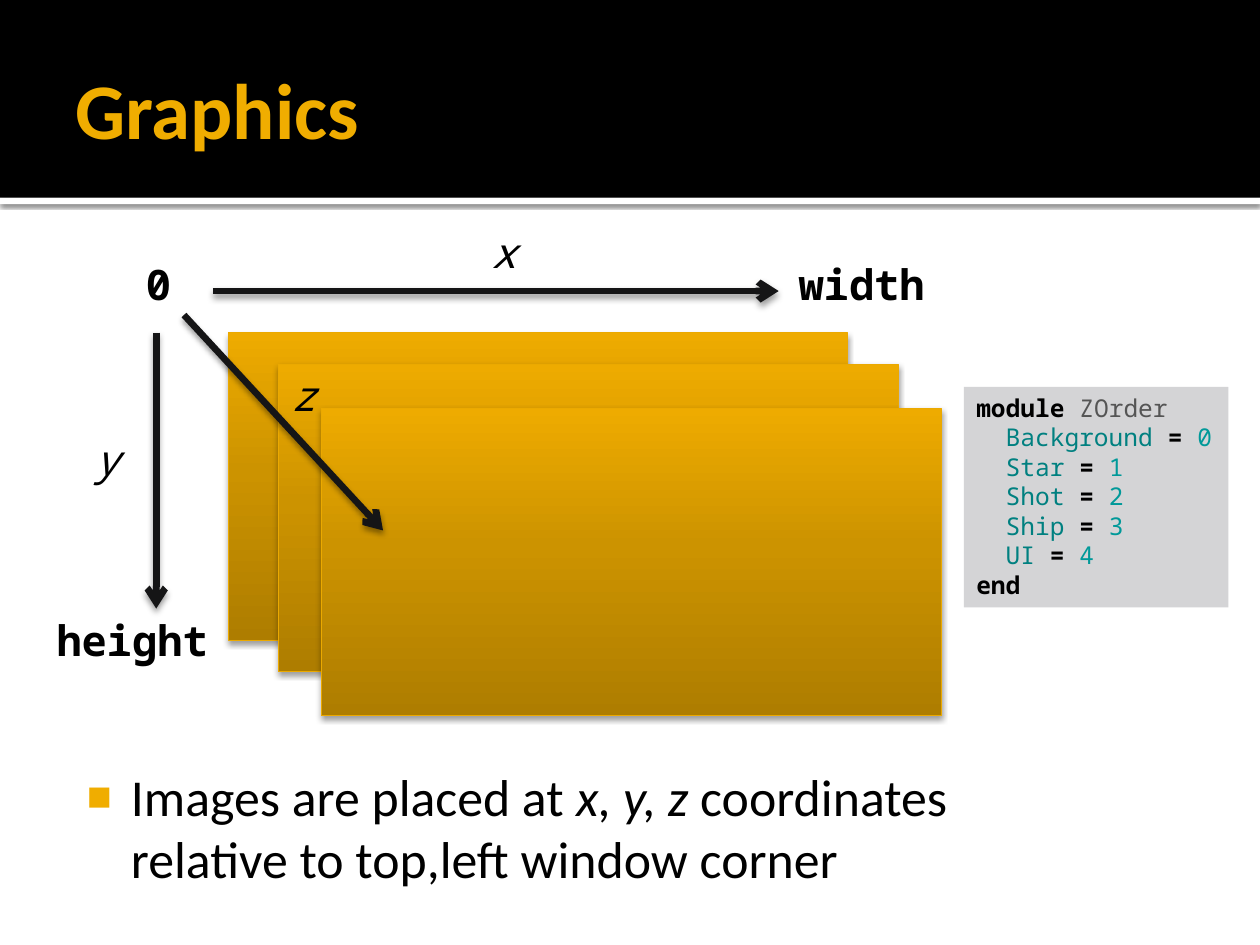
"""Build the Graphics slide about x, y, z coordinates."""
import pptx
import pptx.dml.color
import pptx.enum.shapes
import pptx.enum.text
import pptx.oxml
import pptx.oxml.ns
import pptx.util
from pptx.util import Inches

COLORS = {
    "black": "000000", "white": "FFFFFF", "gold": "F0AD00", "edge": "EBA900",
    "arrow": "151516", "code": "D4D4D6", "name": "555555",
    "constant": "008080", "number": "009999",
}
GRADIENT = [(0, "AE7D00"), (55, "CC9300"), (100, "EEAB00")]
SANS, MONO = "Calibri", "Noto Sans Mono"

TITLE = "Graphics"
BODY = [("Images are placed at ", {}), ("x, y, z", {"italic": True}),
        (" coordinates\vrelative to top,left window corner", {})]
PANEL_SIZE = (4.92, 2.44)
PANELS = [(1.81, 2.64), (2.21, 2.89), (2.55, 3.24)]
AXES = [(1.69, 2.31, 6.18, 2.31), (1.24, 2.64, 1.24, 4.83)]
DEPTH_AXIS = (1.46, 2.5, 3.04, 4.21)
LABELS = [
    ("0", 1.06, 2, 0.4, "bold"), ("y", 0.65, 3.39, 0.48, "italic"),
    ("x", 3.8, 1.75, 0.48, "italic"), ("width", 6.24, 2, 1.23, "bold"),
    ("height", 0.35, 4.83, 1.41, "bold"),
]
DEPTH_LABEL = ("z", 2.21, 2.88, 0.48, "italic")
LAYERS = ["Background", "Star", "Shot", "Ship", "UI"]

presentation = pptx.Presentation()
presentation.slide_width, presentation.slide_height = Inches(10), Inches(7.5)
slide = presentation.slides.add_slide(presentation.slide_layouts[6])


def rgb(name):
    return pptx.dml.color.RGBColor.from_string(COLORS[name])


def element(xml):
    namespace = pptx.oxml.ns.nsdecls("a")
    return pptx.oxml.parse_xml(xml.replace(">", f" {namespace}>", 1))


def add_shadow(shape, alpha, blur, distance):
    properties = shape._element.spPr
    for old in properties.findall(pptx.oxml.ns.qn("a:effectLst")):
        properties.remove(old)
    properties.append(element(
        f'<a:effectLst><a:outerShdw blurRad="{pptx.util.Pt(blur)}" '
        f'dist="{pptx.util.Pt(distance)}" dir="5400000" rotWithShape="0">'
        f'<a:srgbClr val="{COLORS["black"]}"><a:alpha val="{alpha * 1000}"/>'
        '</a:srgbClr></a:outerShdw></a:effectLst>'))


def add_rectangle(left, top, width, height, fill):
    shape = slide.shapes.add_shape(
        pptx.enum.shapes.MSO_SHAPE.RECTANGLE,
        *map(Inches, (left, top, width, height)))
    shape.shadow.inherit = False
    shape.fill.solid()
    shape.fill.fore_color.rgb = rgb(fill)
    shape.line.fill.background()
    return shape


def add_panel(left, top):
    panel = add_rectangle(left, top, *PANEL_SIZE, "gold")
    stops = "".join(f'<a:gs pos="{position * 1000}"><a:srgbClr val="{color}"/></a:gs>'
                    for position, color in GRADIENT)
    properties = panel._element.spPr
    solid = properties.find(pptx.oxml.ns.qn("a:solidFill"))
    properties.replace(solid, element(
        f'<a:gradFill><a:gsLst>{stops}</a:gsLst>'
        '<a:lin ang="16200000" scaled="0"/></a:gradFill>'))
    panel.line.color.rgb = rgb("edge")
    panel.line.width = pptx.util.Pt(0.5)
    add_shadow(panel, 38, 3.1, 2)


def add_arrow(*ends):
    arrow = slide.shapes.add_connector(
        pptx.enum.shapes.MSO_CONNECTOR.STRAIGHT, *map(Inches, ends))
    arrow.line.color.rgb = rgb("arrow")
    arrow.line.width = pptx.util.Pt(3.78)
    arrow.line._get_or_add_ln().append(element('<a:tailEnd type="arrow"></a:tailEnd>'))
    add_shadow(arrow, 38, 3.5, 2)


def write(shape, paragraphs, font, size, wrap=False, **frame_format):
    frame = shape.text_frame
    frame.word_wrap = wrap
    for attribute, value in frame_format.items():
        setattr(frame, attribute, value)
    for index, runs in enumerate(paragraphs):
        paragraph = frame.add_paragraph() if index else frame.paragraphs[0]
        paragraph.alignment = pptx.enum.text.PP_ALIGN.LEFT
        for text, run_format in runs:
            for part, line in enumerate(text.split("\v")):
                if part:
                    paragraph.add_line_break()
                run = paragraph.add_run()
                run.text = line
                values = {"name": font, "size": pptx.util.Pt(size), **run_format}
                run.font.color.rgb = rgb(values.pop("color", "black"))
                for attribute, value in values.items():
                    setattr(run.font, attribute, value)
    return frame


def add_text(left, top, width, height, *content, **frame_format):
    box = slide.shapes.add_textbox(*map(Inches, (left, top, width, height)))
    return write(box, *content, **frame_format)


def add_label(text, left, top, width, style):
    add_text(left, top, width, 0.5, [[(text, {style: True})]], MONO, 24)


def code_lines():
    yield [("module ", {"bold": True}), ("ZOrder", {"color": "name"})]
    for number, layer in enumerate(LAYERS):
        yield [(f"  {layer} ", {"color": "constant"}), ("= ", {"bold": True}),
               (str(number), {"color": "number"})]
    yield [("end", {"bold": True})]


add_shadow(add_rectangle(0, 1.57, 10, 0.05, "white"), 60, 2.5, 0.8)
add_rectangle(0, 0, 10, 1.57, "black")
add_text(0.5, 0.17, 9, 1.37, [[(TITLE, {"bold": True, "color": "gold"})]], SANS, 45,
         wrap=True, vertical_anchor=pptx.enum.text.MSO_ANCHOR.MIDDLE,
         margin_right=Inches(0.05))
body = add_text(0.5, 5.94, 9, 1.06, [BODY], SANS, 29.6, wrap=True,
                margin_left=Inches(0.06), margin_top=Inches(0.13))
bullet = body.paragraphs[0]._p.get_or_add_pPr()
bullet.set("marL", str(Inches(0.48)))
bullet.set("indent", str(Inches(-0.35)))
for xml in (f'<a:buClr><a:srgbClr val="{COLORS["gold"]}"/></a:buClr>',
            '<a:buSzPct val="80000"></a:buSzPct>',
            '<a:buFont typeface="Arial"></a:buFont>',
            '<a:buChar char="■"></a:buChar>'):
    bullet.append(element(xml))

add_panel(*PANELS[0])
for axis in AXES:
    add_arrow(*axis)
for label in LABELS:
    add_label(*label)
for panel_corner in PANELS[1:]:
    add_panel(*panel_corner)
add_arrow(*DEPTH_AXIS)
add_label(*DEPTH_LABEL)
write(add_rectangle(7.65, 3.07, 2.1, 1.75, "code"), code_lines(), MONO, 14,
      vertical_anchor=pptx.enum.text.MSO_ANCHOR.TOP)

presentation.save("out.pptx")
